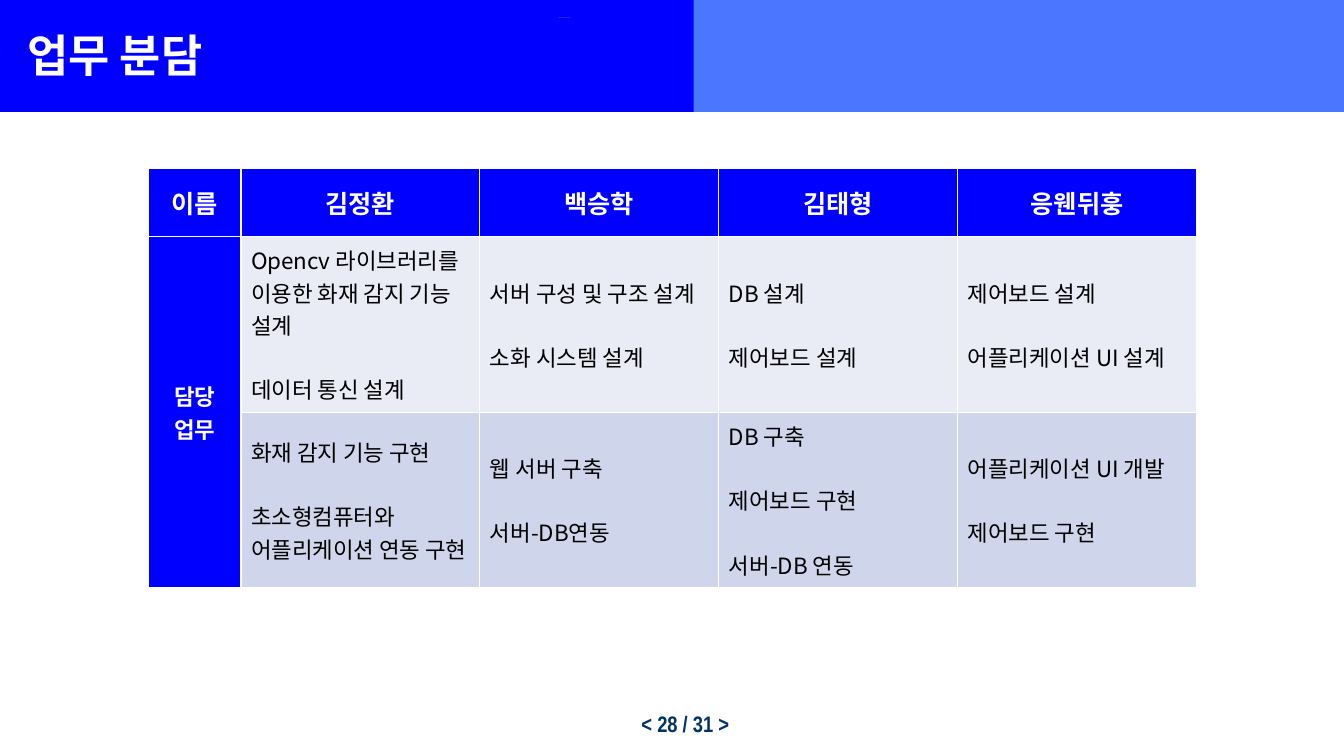
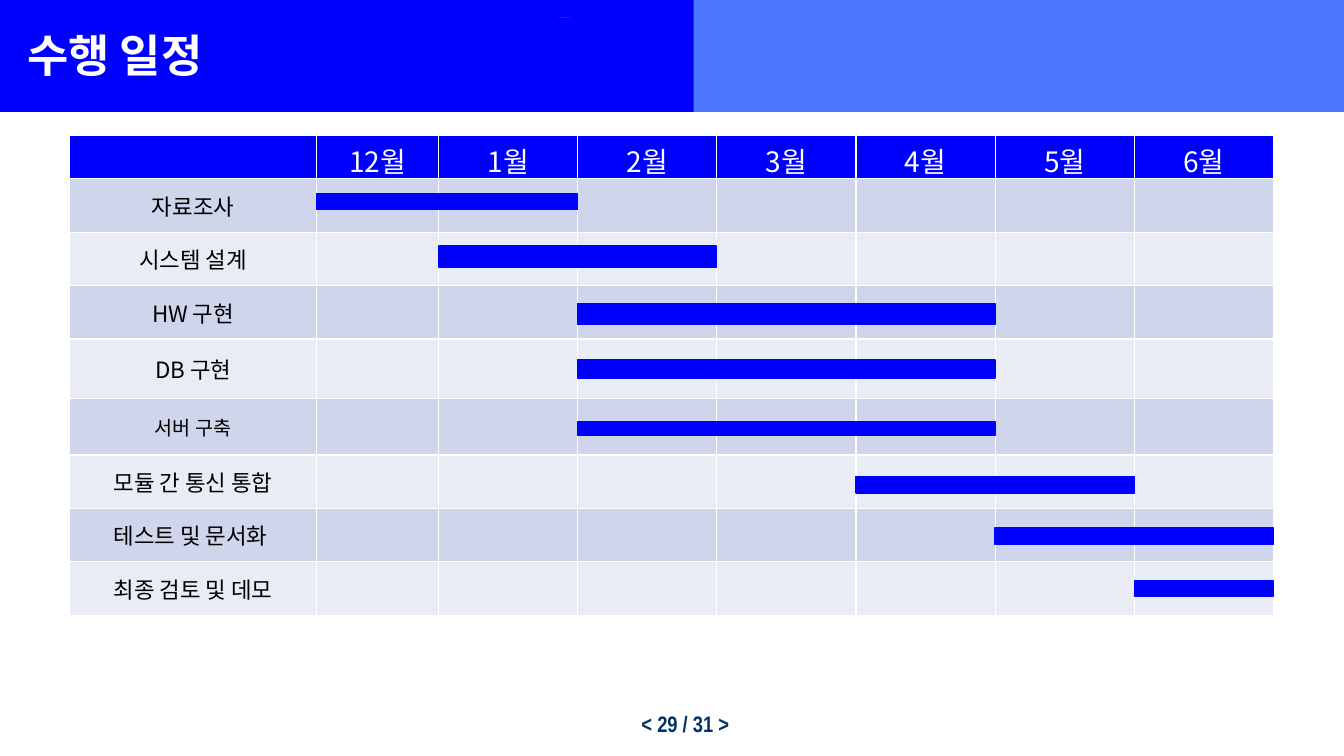
from dataclasses import dataclass
from itertools import accumulate

from lxml import etree
from pptx import Presentation
from pptx.dml.color import RGBColor
from pptx.enum.shapes import MSO_SHAPE as SHAPE
from pptx.enum.text import MSO_ANCHOR as ANCHOR, MSO_AUTO_SIZE as AUTO, PP_ALIGN as ALIGN
from pptx.oxml.ns import qn
from pptx.util import Inches, Pt

BLUE = RGBColor(0x00, 0x00, 0xFF)
LIGHT_BLUE = RGBColor(0x4B, 0x76, 0xFF)
NAVY = RGBColor(0x00, 0x33, 0x66)
WHITE = RGBColor(0xFF, 0xFF, 0xFF)
BLACK = RGBColor(0x00, 0x00, 0x00)
PALE = RGBColor(0xE9, 0xEB, 0xF5)
PALE_DARK = RGBColor(0xCF, 0xD5, 0xEA)

FONT = "Noto Sans CJK KR"
TITLE_ONLY = 5
PAGE_COUNT = 31
ITEM_GAP = 23


@dataclass(frozen=True)
class Band:
    left: float
    top: float
    width: float
    height: float
    color: RGBColor


@dataclass(frozen=True)
class Style:
    size: float
    color: RGBColor = BLACK
    bold: bool = False
    font: str = FONT
    align: ALIGN = ALIGN.LEFT


@dataclass(frozen=True)
class Member:
    name: str
    design: tuple[str, ...]
    build: tuple[str, ...]


@dataclass(frozen=True)
class Task:
    name: str
    first_month: int
    months: int
    bar_top: float
    bar_height: float = 0.16
    row_height: float = 0.53
    size: float = 16


BANDS = (
    Band(0, 0, 13.33, 1.11, LIGHT_BLUE),
    Band(0, 0, 6.88, 1.11, BLUE),
    Band(5.54, 0.17, 0.11, 0, WHITE),
)

TITLE = Style(32, WHITE, True)
PAGE = Style(16, NAVY, True, "Arial Narrow", ALIGN.RIGHT)
NAME = Style(18, WHITE, True, align=ALIGN.CENTER)
DUTY = Style(16, WHITE, True, align=ALIGN.CENTER)
ITEM = Style(16)
MONTH = Style(20, WHITE, align=ALIGN.CENTER)

MEMBERS = (
    Member("김정환",
           ("Opencv 라이브러리를 이용한 화재 감지 기능 설계", "데이터 통신 설계"),
           ("화재 감지 기능 구현", "초소형컴퓨터와 어플리케이션 연동 구현")),
    Member("백승학",
           ("서버 구성 및 구조 설계", "소화 시스템 설계"),
           ("웹 서버 구축", "서버-DB연동")),
    Member("김태형",
           ("DB 설계", "제어보드 설계"),
           ("DB 구축", "제어보드 구현", "서버-DB 연동")),
    Member("응웬뒤훙",
           ("제어보드 설계", "어플리케이션 UI 설계"),
           ("어플리케이션 UI 개발", "제어보드 구현")),
)

MONTHS = ("12월", "1월", "2월", "3월", "4월", "5월", "6월")
TASKS = (
    Task("자료조사", 0, 2, 1.92),
    Task("시스템 설계", 1, 2, 2.44, 0.21),
    Task("HW 구현", 2, 3, 3.01, 0.21),
    Task("DB 구현", 2, 3, 3.57, 0.18, row_height=0.59),
    Task("서버 구축", 2, 3, 4.18, 0.14, row_height=0.56, size=14),
    Task("모듈 간 통신 통합", 4, 2, 4.73),
    Task("테스트 및 문서화 ", 5, 2, 5.24),
    Task("최종 검토 및 데모", 6, 1, 5.76),
)


def write(tf, lines: tuple[str, ...], style: Style, gap: float = 0) -> None:
    """Write one paragraph per line, with gap points between them."""
    for i, line in enumerate(lines):
        p = tf.paragraphs[0] if i == 0 else tf.add_paragraph()
        p.alignment = style.align
        if i and gap:
            p.space_before = Pt(gap)
        r = p.add_run()
        r.text = line
        formats = {"size": Pt(style.size), "bold": style.bold, "name": style.font}
        for key, value in formats.items():
            setattr(r.font, key, value)
        r.font.color.rgb = style.color
        etree.SubElement(r.font._element, qn("a:ea"), typeface=style.font)


def place(sp, left: float, top: float, width: float, height: float) -> None:
    box = {"left": left, "top": top, "width": width, "height": height}
    for key, value in box.items():
        setattr(sp, key, Inches(value))


def add_rect(slide, left: float, top: float, width: float, height: float,
             color: RGBColor, line: bool = False) -> None:
    sp = slide.shapes.add_shape(
        SHAPE.RECTANGLE, *map(Inches, (left, top, width, height)))
    sp.shadow.inherit = False
    sp.fill.solid()
    sp.fill.fore_color.rgb = color
    if line:
        sp.line.color.rgb = color
        sp.line.width = Pt(1)
    else:
        sp.line.fill.background()


def add_page(prs, title: str, number: int):
    """Add a slide with the shared bands, title and page number."""
    slide = prs.slides.add_slide(prs.slide_layouts[TITLE_ONLY])
    for b in BANDS:
        add_rect(slide, b.left, b.top, b.width, b.height, b.color)

    heading = slide.shapes.title
    slide.shapes.element.append(heading.element)
    place(heading, 0.17, 0.22, 6.49, 0.64)
    tf = heading.text_frame
    formats = {"word_wrap": True, "auto_size": AUTO.NONE, "vertical_anchor": ANCHOR.MIDDLE}
    for key, value in formats.items():
        setattr(tf, key, value)
    write(tf, (title,), TITLE)

    footer = slide.shapes.add_textbox(*map(Inches, (6, 6.97, 1.33, 0.36)))
    tf = footer.text_frame
    tf.word_wrap = True
    write(tf, (f"< {number} / {PAGE_COUNT} >",), PAGE)
    tf.paragraphs[0].line_spacing = 1.1
    return slide


def add_grid(slide, left: float, top: float, widths: list[float], heights: list[float]):
    table = slide.shapes.add_table(
        len(heights), len(widths),
        *map(Inches, (left, top, sum(widths), sum(heights)))).table
    for column, width in zip(table.columns, widths):
        column.width = Inches(width)
    for row, height in zip(table.rows, heights):
        row.height = Inches(height)
    return table


def fill_cell(cell, color: RGBColor, anchor: ANCHOR = ANCHOR.MIDDLE) -> None:
    cell.fill.solid()
    cell.fill.fore_color.rgb = color
    cell.vertical_anchor = anchor


def build_duties(prs) -> None:
    slide = add_page(prs, "업무 분담", 28)
    table = add_grid(slide, 1.47, 1.67, [0.92] + [2.37] * len(MEMBERS), [0.68, 1.74, 1.74])
    for r, color in enumerate((BLUE, PALE, PALE_DARK)):
        for c in range(len(MEMBERS) + 1):
            fill_cell(table.cell(r, c), color if c else BLUE)
    table.cell(1, 0).merge(table.cell(2, 0))
    write(table.cell(0, 0).text_frame, ("이름",), NAME)
    write(table.cell(1, 0).text_frame, ("담당", "업무"), DUTY)
    for c, member in enumerate(MEMBERS, 1):
        write(table.cell(0, c).text_frame, (member.name,), NAME)
        for r, items in enumerate((member.design, member.build), 1):
            write(table.cell(r, c).text_frame, items, ITEM, ITEM_GAP)


def build_schedule(prs) -> None:
    slide = add_page(prs, "수행 일정", 29)
    left = 0.69
    widths = [2.45, 1.21] + [1.38] * (len(MONTHS) - 1)
    heights = [0.41] + [task.row_height for task in TASKS]
    table = add_grid(slide, left, 1.34, widths, heights)
    for c in range(len(widths)):
        fill_cell(table.cell(0, c), BLUE, ANCHOR.TOP)
    for c, month in enumerate(MONTHS, 1):
        write(table.cell(0, c).text_frame, (month,), MONTH)

    edges = list(accumulate(widths, initial=left))[1:]
    for r, task in enumerate(TASKS, 1):
        for c in range(len(widths)):
            fill_cell(table.cell(r, c), PALE_DARK if r % 2 else PALE)
        write(table.cell(r, 0).text_frame, (task.name,),
              Style(task.size, align=ALIGN.CENTER))
        start, end = edges[task.first_month], edges[task.first_month + task.months]
        add_rect(slide, start, task.bar_top, end - start, task.bar_height, BLUE, line=True)


def main() -> None:
    prs = Presentation()
    prs.slide_width, prs.slide_height = Inches(13.33), Inches(7.5)
    build_duties(prs)
    build_schedule(prs)
    prs.save("out.pptx")


if __name__ == "__main__":
    main()
